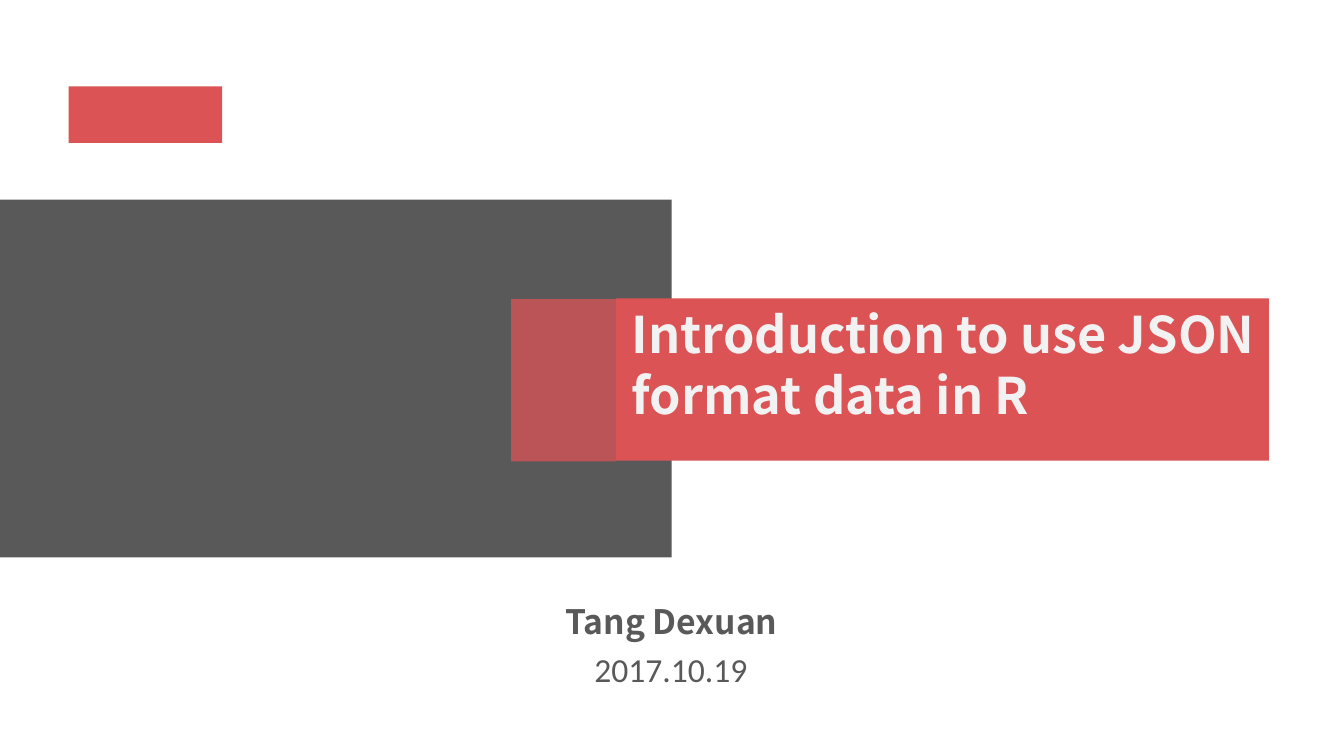
"""Build the title slide of a talk on JSON data in R."""
from lxml import etree
from pptx import Presentation
from pptx.dml.color import RGBColor
from pptx.enum.shapes import MSO_SHAPE
from pptx.enum.text import PP_ALIGN
from pptx.oxml.ns import qn
from pptx.util import Cm, Pt

RECTANGLE = MSO_SHAPE.RECTANGLE
LEFT, CENTER = PP_ALIGN.LEFT, PP_ALIGN.CENTER
GRAY, RED, PALE = "595959", "DB5355", "F2F2F2"
HEADING, BODY = "Noto Sans CJK SC", "Calibri"


def color(hex_code):
    return RGBColor.from_string(hex_code)


deck = Presentation()
deck.slide_width, deck.slide_height = Cm(33.87), Cm(19.05)
cover = deck.slides.add_slide(deck.slide_layouts[6])

blocks = [
    (0, 5.03, 16.93, 9.02, GRAY, 100),
    (15.52, 7.52, 16.46, 4.09, RED, 100),
    (12.88, 7.54, 2.64, 4.09, RED, 75),
    (1.73, 2.18, 3.87, 1.42, RED, 100),
]
for left, top, width, height, fill, opacity in blocks:
    block = cover.shapes.add_shape(RECTANGLE, Cm(left), Cm(top), Cm(width), Cm(height))
    block.shadow.inherit = False
    block.fill.solid()
    block.fill.fore_color.rgb = color(fill)
    block.line.fill.background()
    if opacity < 100:
        tint = block.fill._xPr.find(qn("a:solidFill"))[0]
        etree.SubElement(tint, qn("a:alpha"), val=str(opacity * 1000))

captions = [
    ("Introduction to use JSON format data in R",
     15.67, 7.52, 16.46, 3.33, 36, HEADING, PALE, True, LEFT),
    ("Tang Dexuan", 11.46, 15.01, 10.92, 1.27, 24, HEADING, GRAY, True, CENTER),
    ("2017.10.19", 14.73, 16.23, 4.42, 1.27, 24, BODY, GRAY, False, LEFT),
]
for words, left, top, width, height, size, face, ink, bold, align in captions:
    caption = cover.shapes.add_textbox(Cm(left), Cm(top), Cm(width), Cm(height))
    caption.text_frame.word_wrap = True
    paragraph = caption.text_frame.paragraphs[0]
    paragraph.alignment = align
    run = paragraph.add_run()
    run.text = words
    run.font.name, run.font.size, run.font.bold = face, Pt(size), bold
    run.font.color.rgb = color(ink)

deck.save("out.pptx")
